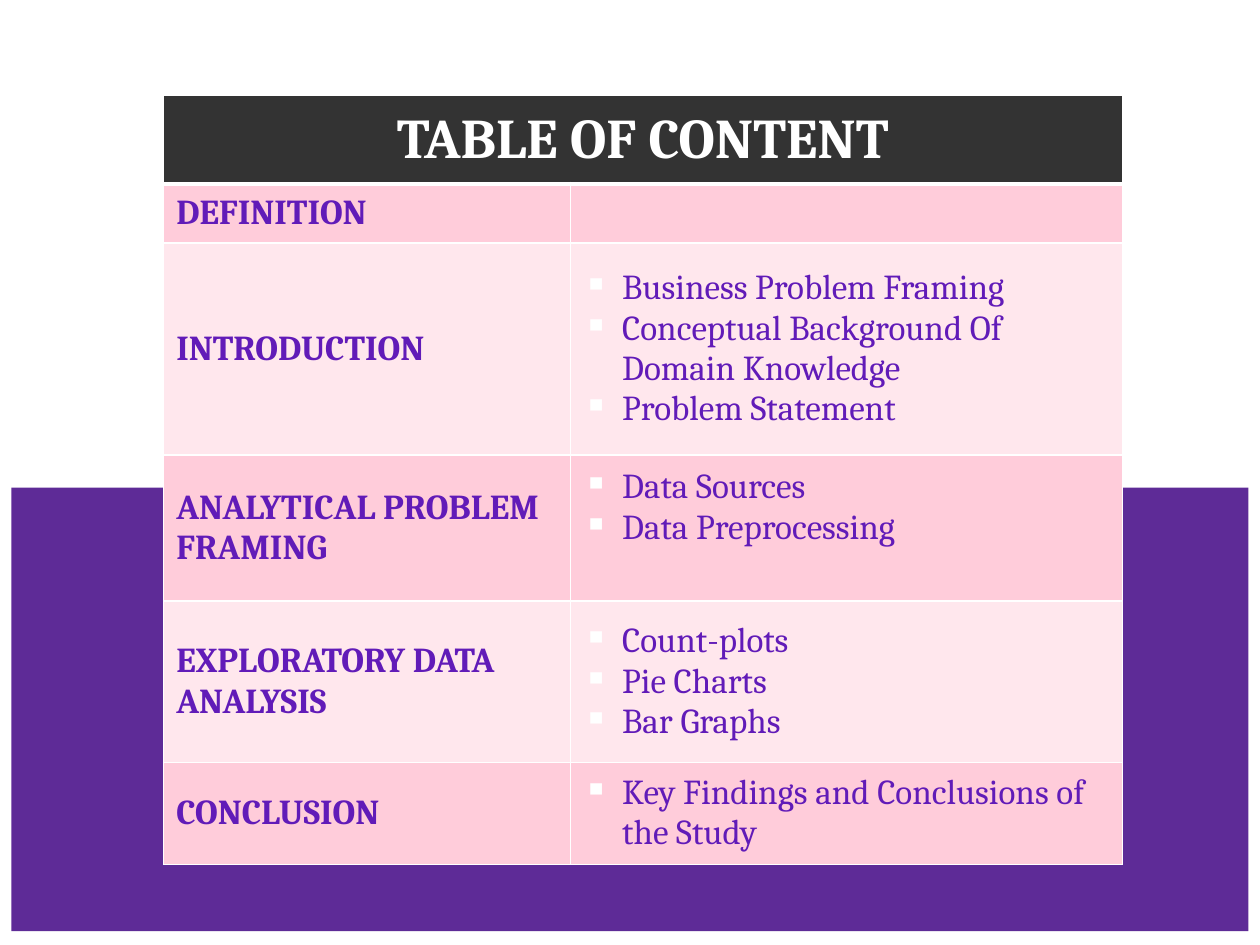
from lxml.etree import SubElement
from pptx import Presentation
from pptx.dml.color import RGBColor
from pptx.enum.shapes import MSO_SHAPE as Shape
from pptx.enum.text import MSO_ANCHOR as Anchor, PP_ALIGN as Align
from pptx.oxml.ns import qn
from pptx.util import Cm, Pt

FONT = "Cambria"
WHITE, DARK, PURPLE, TEXT = "FFFFFF", "333333", "5E2B97", "611BB8"
BANDS = ("FFCCDA", "FFE7ED")
COLUMN_WIDTHS = (8.2, 11.13)
HEADER_HEIGHT = 1.78

# Section, topics, row height, bottom margin of the topics (all in cm)
SECTIONS = [
    ("DEFINITION", [], 1.19, 0.13),
    ("INTRODUCTION",
     ["Business Problem Framing", "Conceptual Background Of Domain Knowledge", "Problem Statement"],
     4.27, 0.13),
    ("ANALYTICAL PROBLEM FRAMING", ["Data Sources", "Data Preprocessing"], 2.95, 0.95),
    ("EXPLORATORY DATA ANALYSIS", ["Count-plots", "Pie Charts", "Bar Graphs"], 3.25, 0.13),
    ("CONCLUSION", ["Key Findings and Conclusions of the Study"], 2.06, 0.13),
]


def color(value):
    return RGBColor.from_string(value)


def add_band(slide):
    band = slide.shapes.add_shape(Shape.RECTANGLE, Cm(0.23), Cm(9.83), Cm(24.94), Cm(8.94))
    band.shadow.inherit = False
    band.fill.solid()
    band.fill.fore_color.rgb = color(PURPLE)
    band.line.fill.background()


def style_cell(cell, fill, top=1, bottom=1):
    """Draw white borders, then fill the cell and centre it vertically."""
    properties = cell._tc.get_or_add_tcPr()
    for side, width in (("L", 1), ("R", 1), ("T", top), ("B", bottom)):
        line = SubElement(properties, qn(f"a:ln{side}"), w=str(Pt(width)))
        line_fill = SubElement(line, qn("a:solidFill"))
        SubElement(line_fill, qn("a:srgbClr"), val=WHITE)
    cell.fill.solid()
    cell.fill.fore_color.rgb = color(fill)
    cell.vertical_anchor = Anchor.MIDDLE


def add_text(paragraph, text, size=20, text_color=TEXT, bold=False):
    run = paragraph.add_run()
    run.text = text
    run.font.name = FONT
    run.font.size = Pt(size)
    run.font.bold = bold
    run.font.color.rgb = color(text_color)


def add_bullet(paragraph):
    properties = paragraph._p.get_or_add_pPr()
    indent = Cm(0.79)
    properties.set("marL", str(indent))
    properties.set("indent", str(-indent))
    bullet_color = SubElement(properties, qn("a:buClr"))
    SubElement(bullet_color, qn("a:srgbClr"), val=WHITE)
    SubElement(properties, qn("a:buChar"), char="▪")


def fill_topics(cell, topics, bottom_margin):
    cell.margin_bottom = Cm(bottom_margin)
    frame = cell.text_frame
    for index, topic in enumerate(topics):
        paragraph = frame.add_paragraph() if index else frame.paragraphs[0]
        add_bullet(paragraph)
        add_text(paragraph, topic)


def add_contents_table(slide):
    heights = [HEADER_HEIGHT] + [section[2] for section in SECTIONS]
    table = slide.shapes.add_table(
        len(heights), len(COLUMN_WIDTHS), Cm(3.3), Cm(1.93),
        Cm(sum(COLUMN_WIDTHS)), Cm(sum(heights))).table
    for column, width in zip(table.columns, COLUMN_WIDTHS):
        column.width = Cm(width)
    for row, height in zip(table.rows, heights):
        row.height = Cm(height)

    # Header across both columns
    header = table.cell(0, 0)
    header.merge(table.cell(0, 1))
    for cell in table.rows[0].cells:
        style_cell(cell, DARK, bottom=3)
    title = header.text_frame.paragraphs[0]
    title.alignment = Align.CENTER
    add_text(title, "TABLE OF CONTENT", 32, WHITE, bold=True)

    # Sections with alternating fills
    for number, (name, topics, _, bottom_margin) in enumerate(SECTIONS, start=1):
        name_cell, topics_cell = table.rows[number].cells
        for cell in (name_cell, topics_cell):
            style_cell(cell, BANDS[(number - 1) % 2], top=3 if number == 1 else 1)
        add_text(name_cell.text_frame.paragraphs[0], name, bold=True)
        fill_topics(topics_cell, topics, bottom_margin)


def main():
    presentation = Presentation()
    presentation.slide_width = Cm(25.4)
    presentation.slide_height = Cm(19.05)
    slide = presentation.slides.add_slide(presentation.slide_layouts[6])
    add_band(slide)
    add_contents_table(slide)
    presentation.save("out.pptx")


if __name__ == "__main__":
    main()
